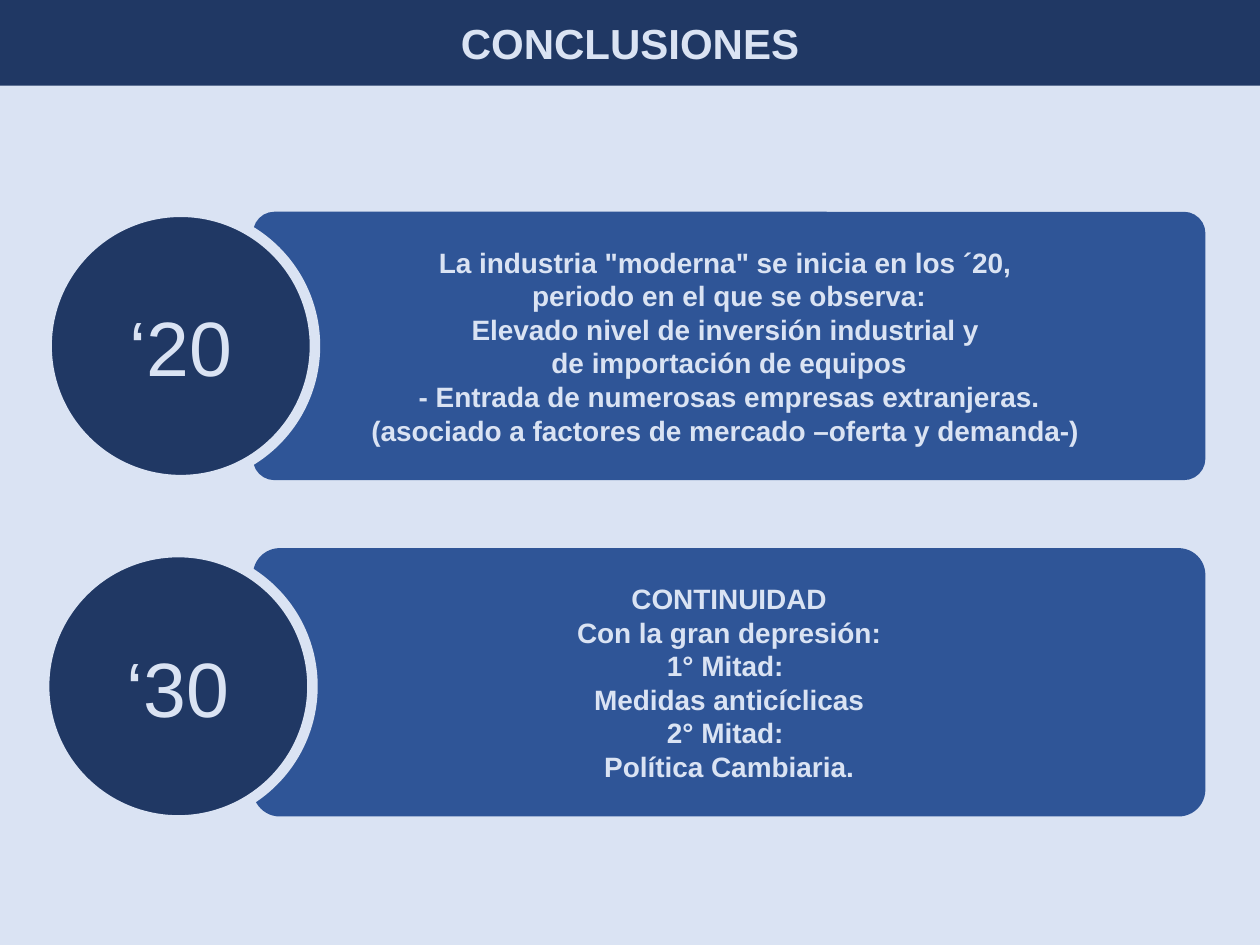
import pptx
import pptx.util
import pptx.dml.color
import pptx.enum.shapes
import pptx.enum.text

Cm = pptx.util.Cm
Shape = pptx.enum.shapes.MSO_SHAPE

NAVY = "203864"
BLUE = "2F5597"
PALE = "DAE3F3"

HEADING = {"size": pptx.util.Pt(24), "bold": True}
BODY = {"size": pptx.util.Pt(16), "bold": True}
DECADE = {"size": pptx.util.Pt(44), "bold": False}

PERIODS = [
    {
        "decade": "‘20",
        "box": (0.94, 4.27, 23.36, 5.41),
        "panel_indent": 4.16,
        "circle_drop": 0,
        "rounding": 0.08,
        "lines": [
            'La industria "moderna" se inicia en los ´20, ',
            "periodo en el que se observa:",
            "Elevado nivel de inversión industrial y ",
            "de importación de equipos",
            "- Entrada de numerosas empresas extranjeras.",
            "(asociado a factores de mercado –oferta y demanda-) ",
        ],
    },
    {
        "decade": "‘30",
        "box": (0.89, 11.05, 23.41, 5.41),
        "panel_indent": 4.21,
        "circle_drop": 0.08,
        "rounding": 0.1,
        "lines": [
            "CONTINUIDAD",
            "Con la gran depresión:",
            "1° Mitad: ",
            "Medidas anticíclicas",
            "2° Mitad: ",
            "Política Cambiaria.",
        ],
    },
]


def color(value):
    return pptx.dml.color.RGBColor.from_string(value)


def add_block(slide, kind, box, fill, lines, text_format):
    block = slide.shapes.add_shape(kind, *(Cm(length) for length in box))
    block.shadow.inherit = False
    block.fill.solid()
    block.fill.fore_color.rgb = color(fill)
    block.line.fill.background()
    frame = block.text_frame
    frame.word_wrap = True
    frame.vertical_anchor = pptx.enum.text.MSO_ANCHOR.MIDDLE
    for index, line in enumerate(lines):
        paragraph = frame.paragraphs[0] if index == 0 else frame.add_paragraph()
        paragraph.alignment = pptx.enum.text.PP_ALIGN.CENTER
        run = paragraph.add_run()
        run.text = line
        for attribute, value in {"name": "Arial", **text_format}.items():
            setattr(run.font, attribute, value)
        run.font.color.rgb = color(PALE)
    return block


def add_heading(slide, box):
    add_block(slide, Shape.RECTANGLE, box, NAVY, ["CONCLUSIONES"], HEADING)


def add_period(slide, box, decade, lines, panel_indent, circle_drop, rounding):
    left, top, width, height = box
    panel_box = (left + panel_indent, top, width - panel_indent, height)
    panel = add_block(slide, Shape.ROUNDED_RECTANGLE, panel_box, BLUE, lines, BODY)
    panel.adjustments[0] = rounding
    circle_box = (left, top + circle_drop, height, height)
    circle = add_block(slide, Shape.OVAL, circle_box, NAVY, [decade], DECADE)
    circle.line.color.rgb = color(PALE)
    circle.line.width = pptx.util.Pt(6)


def main():
    deck = pptx.Presentation()
    deck.slide_width = Cm(25.4)
    deck.slide_height = Cm(19.05)
    slide = deck.slides.add_slide(deck.slide_layouts[6])
    slide.background.fill.solid()
    slide.background.fill.fore_color.rgb = color(PALE)
    add_heading(slide, (0, 0, 25.4, 1.73))
    for period in PERIODS:
        add_period(slide, **period)
    deck.save("out.pptx")


if __name__ == "__main__":
    main()
